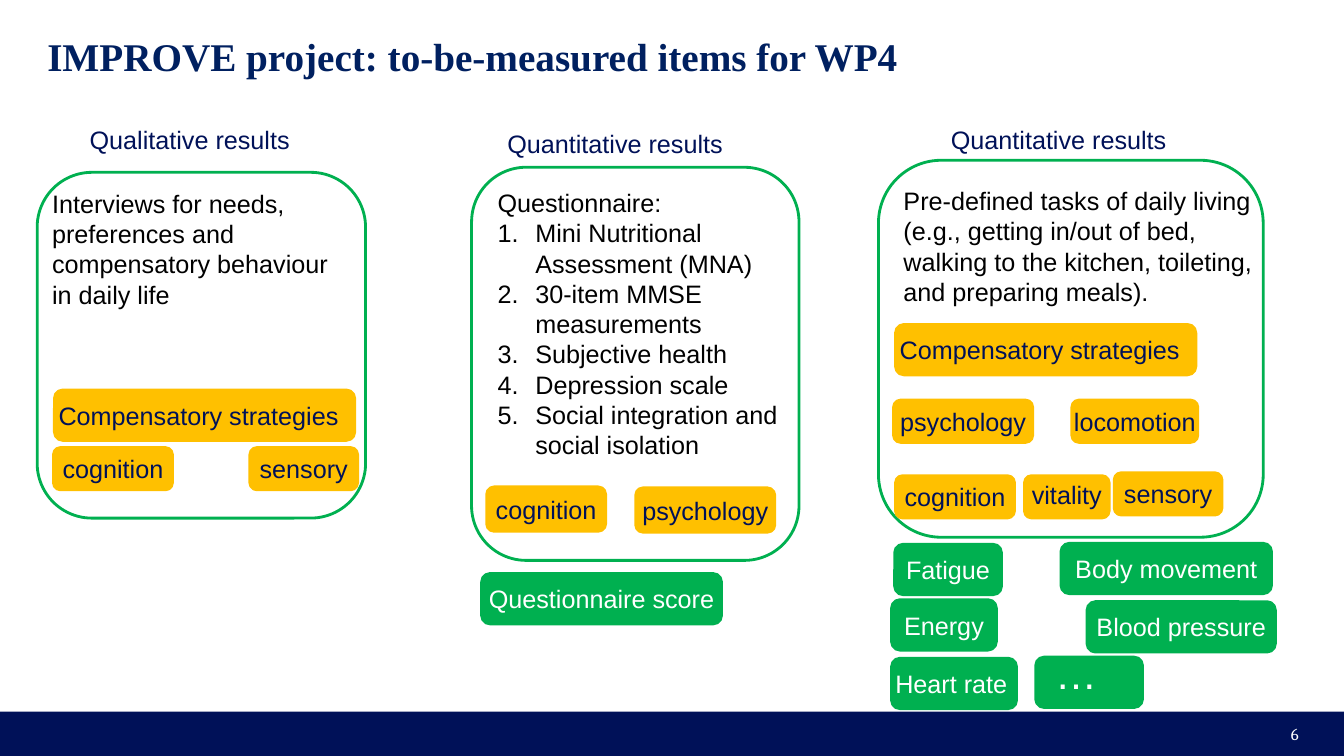
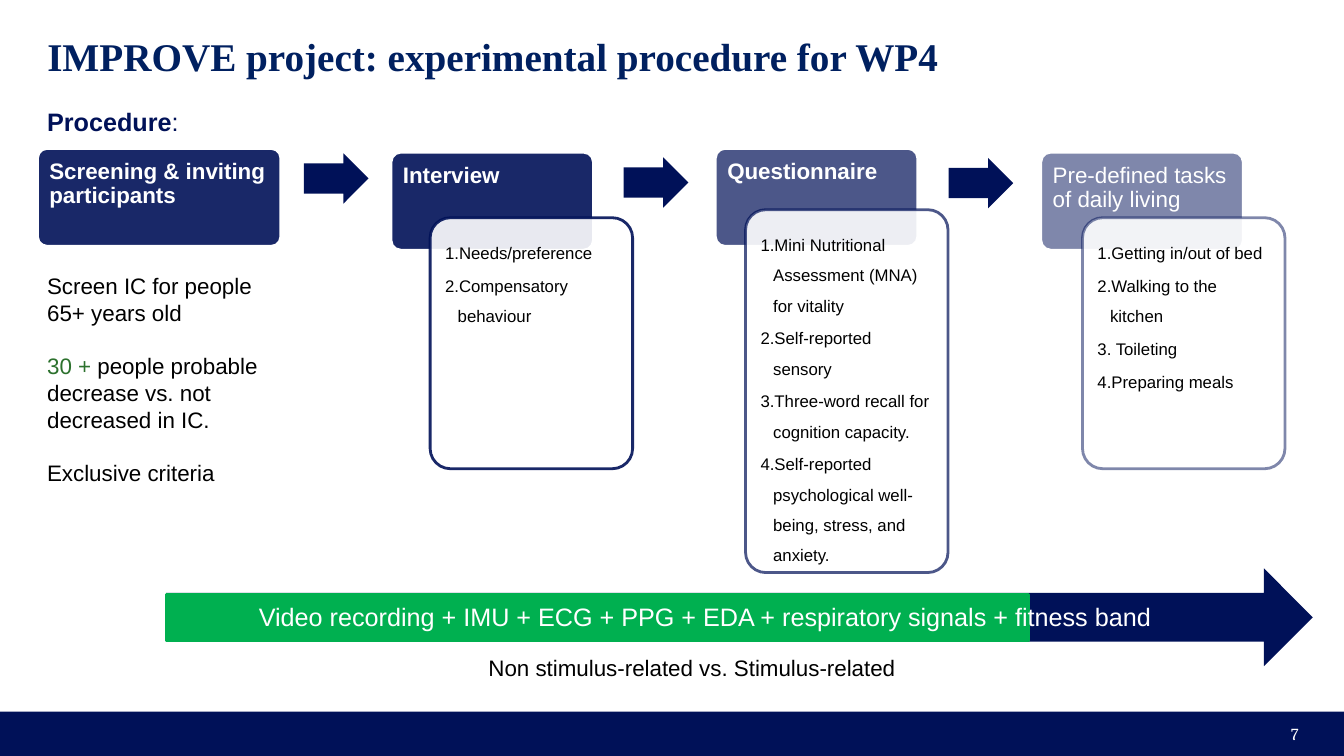
from dataclasses import dataclass

from lxml.etree import SubElement
from pptx import Presentation
from pptx.dml.color import RGBColor
from pptx.enum.shapes import MSO_SHAPE
from pptx.enum.text import MSO_ANCHOR, MSO_AUTO_SIZE, PP_ALIGN
from pptx.oxml.ns import qn
from pptx.shapes.autoshape import Shape
from pptx.slide import Slide
from pptx.text.text import TextFrame
from pptx.util import Pt

ROUND = MSO_SHAPE.ROUNDED_RECTANGLE
RECT = MSO_SHAPE.RECTANGLE
ARROW = MSO_SHAPE.RIGHT_ARROW
TOP, MID = MSO_ANCHOR.TOP, MSO_ANCHOR.MIDDLE
LEFT, MIDST, RIGHT = PP_ALIGN.LEFT, PP_ALIGN.CENTER, PP_ALIGN.RIGHT
FIXED = MSO_AUTO_SIZE.NONE

NAVY = RGBColor(0x00, 0x11, 0x58)
INK = RGBColor(0x00, 0x20, 0x60)
GREEN = RGBColor(0x00, 0xB0, 0x50)
MOSS = RGBColor(0x2C, 0x71, 0x2D)
AMBER = RGBColor(0xFF, 0xC0, 0x00)
WHITE = RGBColor(0xFF, 0xFF, 0xFF)
BLACK = RGBColor(0x00, 0x00, 0x00)

WIDTH, HEIGHT = 960.48, 540
BAND_TOP = 508.3
PAD = (7.2, 3.6, 7.2, 3.6)
CARD_PAD = (6.5, 6.5, 6.5, 6.5)


@dataclass
class Box:
    x: float
    y: float
    w: float
    h: float


@dataclass
class Run:
    text: str
    size: float = 18
    color: RGBColor = BLACK
    bold: bool = False
    font: str = "Arial"


@dataclass
class Para:
    runs: list[Run]
    align: PP_ALIGN = LEFT
    hang: float = 0
    lead: float = 1
    before: float = 0
    after: float = 0


@dataclass
class Chip:
    text: str
    box: Box
    size: float = 18
    right: float = 0
    base: float = 0


@dataclass
class Card:
    title: str
    head: Box
    alpha: int
    bold: bool = True
    body: Box | None = None
    items: tuple[str, ...] = ()


LABELS = [
    ("Qualitative results", Box(57, 85, 160, 29)),
    ("Quantitative results", Box(355.5, 88, 160, 29)),
    ("Quantitative results", Box(672.5, 85, 160, 29)),
]
PANELS = [
    Box(26.6, 123.1, 234.7, 247),
    Box(337, 119.5, 234, 280.8),
    Box(627.8, 114.5, 275, 269.3),
]
AMBER_CHIPS = [
    Chip("Compensatory strategies", Box(38.9, 278.6, 214.6, 36), right=8.6),
    Chip("cognition", Box(38.2, 319.7, 85, 30.2)),
    Chip("sensory", Box(178.6, 319.7, 77, 30.2)),
    Chip("cognition", Box(347.8, 347.8, 85, 31.7)),
    Chip("psychology", Box(454.3, 348.5, 99.4, 31.7)),
    Chip("Compensatory strategies", Box(640, 231.8, 214.6, 36), right=8.6),
    Chip("psychology", Box(638.6, 285.8, 99.4, 30.2)),
    Chip("locomotion", Box(766, 285.8, 90, 30.2)),
    Chip("cognition", Box(640, 339.8, 85, 30.2)),
    Chip("vitality", Box(732.2, 339.8, 60.5, 30.2), base=4),
    Chip("sensory", Box(796.3, 337.7, 77, 30.2)),
]
GREEN_CHIPS = [
    Chip("Questionnaire score", Box(344.2, 409.7, 171.4, 36)),
    Chip("Fatigue", Box(639.4, 388.8, 76.3, 36)),
    Chip("Body movement", Box(758.2, 388.1, 150.5, 36)),
    Chip("Energy", Box(637.2, 428.4, 74.9, 36)),
    Chip("Blood pressure", Box(776.9, 429.8, 134.6, 36)),
    Chip("Heart rate", Box(637.2, 470.2, 89.3, 36), right=4),
    Chip("…", Box(740.2, 469.4, 76.3, 36), size=30, right=18.6, base=13),
]
TALKS = ("Interviews for needs, preferences and compensatory behaviour",
         "in daily life")
TASKS = ("Pre-defined tasks of daily living", "(e.g., getting in/out of bed,",
         "walking to the kitchen, toileting,", "and preparing meals).")
FORMS = ("Mini Nutritional Assessment (MNA)", "30-item MMSE measurements",
         "Subjective health", "Depression scale",
         "Social integration and social isolation")
CARDS = [
    Card("Screening & inviting participants", Box(26.8, 106, 174, 70), 90),
    Card("Interview", Box(279.4, 108.7, 144.7, 70), 90, True,
         Box(307.4, 155.5, 144.7, 179.3),
         ("Needs/preference", "Compensatory behaviour")),
    Card("Questionnaire", Box(511.2, 106, 144.7, 70), 70, True,
         Box(532.8, 149.8, 144.7, 259.2),
         ("Mini Nutritional Assessment (MNA) for vitality",
          "Self-reported sensory",
          "Three-word recall for cognition capacity.",
          "Self-reported psychological well-being, stress, and anxiety.")),
    Card("Pre-defined tasks of daily living", Box(743.8, 108.7, 144.7, 70), 50,
         False, Box(773.6, 155.5, 144.7, 179.3),
         ("Getting in/out of bed", "Walking to the kitchen", " Toileting",
          "Preparing meals")),
]
ARROWS = [Box(217.2, 109.5, 46.2, 36), Box(445.7, 112.4, 46.2, 36),
          Box(677.9, 112.8, 46.2, 36)]


def write(frame: TextFrame, paras: list[Para], pad: tuple = PAD,
          anchor: MSO_ANCHOR = TOP, wrap: bool = True) -> None:
    frame.word_wrap = wrap
    frame.auto_size = FIXED
    frame.vertical_anchor = anchor
    (frame.margin_left, frame.margin_top,
     frame.margin_right, frame.margin_bottom) = map(Pt, pad)
    for i, para in enumerate(paras):
        line = frame.add_paragraph() if i else frame.paragraphs[0]
        line.alignment = para.align
        line.line_spacing = para.lead
        line.space_before = Pt(para.before)
        line.space_after = Pt(para.after)
        if para.hang:
            props = line._p.get_or_add_pPr()
            props.set("marL", str(Pt(para.hang)))
            props.set("indent", str(-Pt(para.hang)))
            SubElement(props, qn("a:buAutoNum"), type="arabicPeriod")
        for part in para.runs:
            run = line.add_run()
            run.text = part.text
            run.font.size = Pt(part.size)
            run.font.name = part.font
            run.font.bold = part.bold
            run.font.color.rgb = part.color


def place(box: Box) -> tuple:
    return Pt(box.x), Pt(box.y), Pt(box.w), Pt(box.h)


def note(slide: Slide, box: Box, paras: list[Para],
         anchor: MSO_ANCHOR = TOP, wrap: bool = True) -> None:
    frame = slide.shapes.add_textbox(*place(box)).text_frame
    write(frame, paras, anchor=anchor, wrap=wrap)


def draw(slide: Slide, kind: MSO_SHAPE, box: Box, fill: RGBColor | None,
         edge: RGBColor | None = None) -> Shape:
    shape = slide.shapes.add_shape(kind, *place(box))
    shape.shadow.inherit = False
    if fill is None:
        shape.fill.background()
    else:
        shape.fill.solid()
        shape.fill.fore_color.rgb = fill
    if edge is None:
        shape.line.fill.background()
    else:
        shape.line.color.rgb = edge
        shape.line.width = Pt(2)
    return shape


def fade(shape: Shape, fill: int, edge: int) -> None:
    tints = shape.element.spPr.iter(qn("a:srgbClr"))
    for tint, level in zip(tints, (fill, edge)):
        SubElement(tint, qn("a:alpha"), val=str(level * 1000))


def add_chip(slide: Slide, chip: Chip, fill: RGBColor, ink: RGBColor) -> None:
    shape = draw(slide, ROUND, chip.box, fill, fill)
    write(shape.text_frame, [Para([Run(chip.text, chip.size, ink)], MIDST)],
          (0, 0, chip.right, chip.base), MID, False)


def add_card(slide: Slide, card: Card) -> None:
    head = draw(slide, ROUND, card.head, NAVY, WHITE)
    head.adjustments[0] = 0.1
    fade(head, card.alpha, 100)
    title = Run(card.title, 16, WHITE, card.bold)
    write(head.text_frame, [Para([title], lead=0.9)], CARD_PAD)
    if card.body:
        body = draw(slide, ROUND, card.body, WHITE, NAVY)
        body.adjustments[0] = 0.1
        fade(body, 90, card.alpha)
        write(body.text_frame,
              [Para([Run(item, 12)], hang=9, lead=1.5, after=1.8)
               for item in card.items], CARD_PAD)


def start(deck: Presentation, title: str, page: int) -> Slide:
    slide = deck.slides.add_slide(deck.slide_layouts[5])
    head = slide.shapes.title
    head.left, head.top, head.width, head.height = place(
        Box(26.6, 19.4, 766, 41))
    write(head.text_frame,
          [Para([Run(title, 28, INK, True, "Times New Roman")])])
    mark = Run(str(page), 12, WHITE, font="Cambria")
    note(slide, Box(719.3, 509.8, 216, 28.8), [Para([mark], RIGHT)], MID)
    return slide


def add_items(slide: Slide) -> None:
    for panel in PANELS:
        draw(slide, ROUND, panel, None, GREEN)
    for text, box in LABELS:
        note(slide, box, [Para([Run(text, color=NAVY)])], wrap=False)
    note(slide, Box(30.2, 131, 242.6, 100), [Para([Run(t)]) for t in TALKS])
    note(slide, Box(348.5, 130.3, 215.3, 204),
         [Para([Run("Questionnaire:")])]
         + [Para([Run(t)], hang=27) for t in FORMS])
    note(slide, Box(638.6, 128.9, 275, 100), [Para([Run(t)]) for t in TASKS])
    for chip in AMBER_CHIPS:
        add_chip(slide, chip, AMBER, NAVY)
    for chip in GREEN_CHIPS:
        add_chip(slide, chip, GREEN, WHITE)


def add_steps(slide: Slide) -> None:
    for card in CARDS:
        add_card(slide, card)
    for box in ARROWS:
        arrow = draw(slide, ARROW, box, NAVY)
        arrow.adjustments[0] = 0.6
    note(slide, Box(26.6, 72.7, 114, 29),
         [Para([Run("Procedure", color=NAVY, bold=True),
                Run(":", color=NAVY)])])
    note(slide, Box(26.6, 190.8, 178.6, 163), [
        Para([Run("Screen IC for people 65+ years old", 16)]),
        Para([Run("30 + ", 16, MOSS),
              Run("people probable decrease vs. not decreased in IC.", 16)],
             before=19),
        Para([Run("Exclusive criteria", 16)], before=19)])
    draw(slide, ARROW, Box(118.8, 406.1, 819.4, 69.8), NAVY)
    draw(slide, RECT, Box(118.8, 424.8, 616.3, 33.1), GREEN, GREEN)
    signals = ("Video recording + IMU + ECG + PPG + EDA + "
               "respiratory signals + fitness band")
    note(slide, Box(170.6, 426.2, 666.7, 29),
         [Para([Run(signals, color=WHITE)], MIDST)])
    note(slide, Box(342, 463.7, 323.3, 27),
         [Para([Run("Non stimulus-related vs. Stimulus-related", 16)])])


def main() -> None:
    deck = Presentation()
    deck.slide_width, deck.slide_height = Pt(WIDTH), Pt(HEIGHT)
    first = start(deck, "IMPROVE project: to-be-measured items for WP4", 6)
    band = draw(first, RECT, Box(0, BAND_TOP, WIDTH, HEIGHT - BAND_TOP), NAVY)
    first.slide_layout.shapes.element.append(band.element)
    add_items(first)
    add_steps(start(
        deck, "IMPROVE project: experimental procedure for WP4", 7))
    deck.save("out.pptx")


if __name__ == "__main__":
    main()
